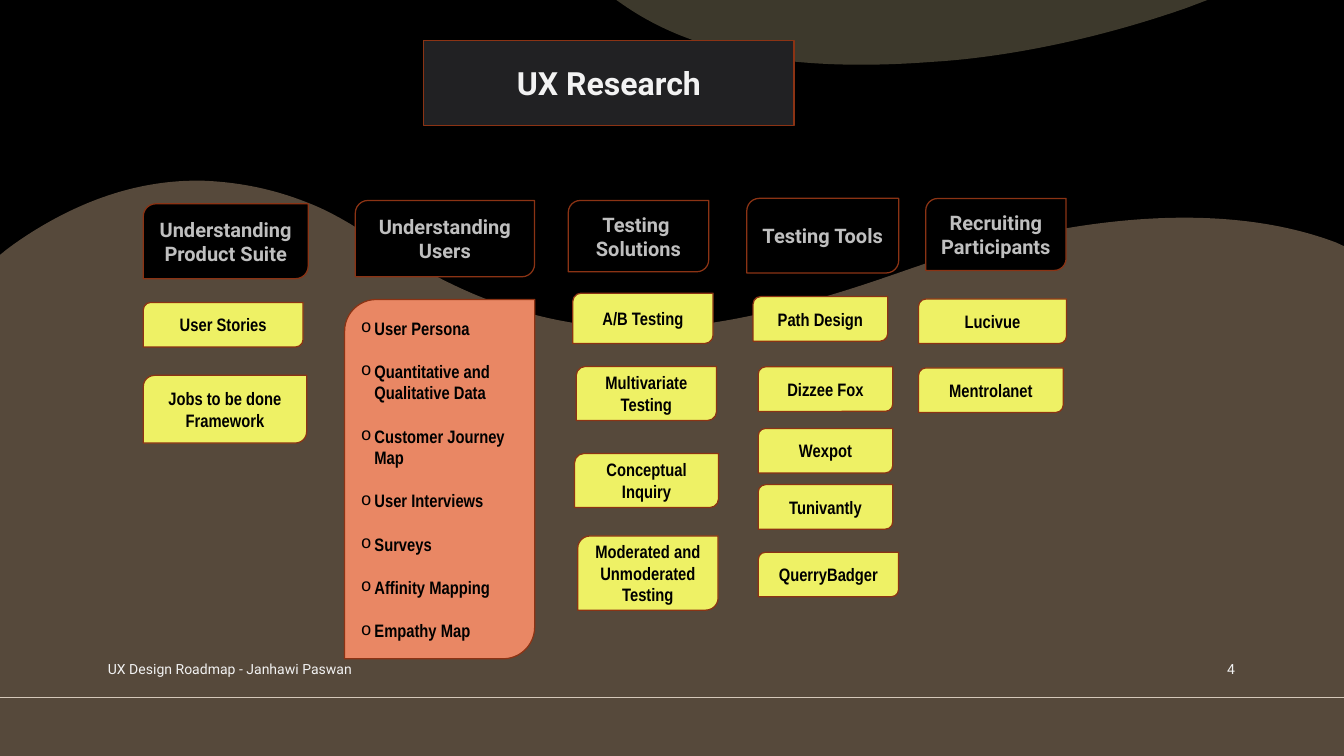
from lxml.etree import SubElement
from pptx import Presentation
from pptx.dml.color import RGBColor
from pptx.enum.shapes import MSO_CONNECTOR, MSO_SHAPE
from pptx.enum.text import MSO_ANCHOR, PP_ALIGN
from pptx.oxml.ns import qn
from pptx.util import Pt

WIDTH, HEIGHT = 1344, 756
BLACK = RGBColor(0x00, 0x00, 0x00)
WHITE = RGBColor(0xFF, 0xFF, 0xFF)
OFF_WHITE = RGBColor(0xF2, 0xF2, 0xF2)
SILVER = RGBColor(0xBF, 0xBF, 0xBF)
CHARCOAL = RGBColor(0x21, 0x21, 0x23)
RUST = RGBColor(0x8B, 0x33, 0x14)
YELLOW = RGBColor(0xEE, 0xF1, 0x65)
ORANGE = RGBColor(0xE9, 0x87, 0x64)
BROWN = RGBColor(0xAD, 0x92, 0x77)
SAND = RGBColor(0xE5, 0xD6, 0xA4)
HEADING_FONT, CARD_FONT = "Roboto", "Arial Narrow"
RULE_TOP = 697.3

# Content: text, then (left, top, width, height) in points
TITLE = ("UX Research", (423.8, 40.8, 370.3, 84.7))
FOOTER = ("UX Design Roadmap - Janhawi Paswan", (100.8, 648.7, 735.8, 40.3))
PAGE_NUMBER = ("4", (1159.2, 648.7, 82.8, 40.3))
HEADERS = [
    ("Understanding\nProduct Suite", (143.3, 203.8, 164.9, 74.9)),
    ("Understanding\nUsers", (355.3, 200.5, 179.3, 76.3)),
    ("Testing \nSolutions", (568.3, 200.5, 140.4, 71.3)),
    ("Testing Tools", (746.8, 198.4, 151.9, 74.6)),
    ("Recruiting\nParticipants", (925.7, 198.5, 140.4, 72)),
]
CARDS = [
    ("User Stories", (143.3, 302.4, 159.8, 44.6)),
    ("Jobs to be done\nFramework", (143.3, 375.4, 163.4, 67.7)),
    ("A/B Testing", (572.7, 293.2, 140.4, 50.4)),
    ("Multivariate Testing", (576.2, 366.5, 140.4, 54)),
    ("Conceptual\nInquiry", (574.6, 453.6, 144, 54)),
    ("Moderated and Unmoderated Testing", (577.7, 536, 140.4, 74.2)),
    ("Path Design", (753.1, 296.6, 134.6, 44.6)),
    ("Dizzee Fox", (758.2, 366.8, 134.6, 44.6)),
    ("Wexpot", (758.2, 428.4, 134.6, 44.6)),
    ("Tunivantly", (758.2, 484.6, 134.6, 44.6)),
    ("QuerryBadger", (758.2, 552.2, 140.4, 44.6)),
    ("Lucivue", (918.5, 299, 148, 44.6)),
    ("Mentrolanet", (918.5, 367.9, 144.7, 44.6)),
]
USER_METHODS = ([
    "User Persona",
    "Quantitative and Qualitative Data",
    "Customer Journey Map",
    "User Interviews",
    "Surveys",
    "Affinity Mapping",
    "Empathy Map",
], (344.6, 299.5, 190.1, 359.3))

# Outlines: a pair is a straight step, six numbers are a Bezier step
WAVE = [
    (203.8, 180.7),
    (238.3, 182.2, 272.2, 188.6, 306.7, 202.3),
    (337, 213.8, 362.9, 231.8, 388.8, 248.4),
    (446.4, 285.8, 509, 313.9, 581, 324),
    (642.2, 333.4, 703.4, 326.9, 765.4, 312.5),
    (833.8, 295.9, 873.4, 281.5, 915.1, 267.1),
    (955.4, 253.4, 1170.7, 180, 1336.3, 242.6),
    (WIDTH, 246.2), (WIDTH, HEIGHT), (0, HEIGHT), (0, 254.9), (7.2, 249.1),
    (15.8, 242.6, 25.2, 236.2, 34.6, 230.4),
    (90.7, 195.8, 146.9, 179.3, 203.8, 180.7),
]
TOP_ARC = [
    (616.3, 0), (1207.4, 0), (1186.6, 7.9),
    (1064.9, 50.4, 969.1, 59.8, 931.7, 61.9),
    (761.8, 74.9, 676.8, 41, 625.7, 6.5),
]


def add_blob(slide, outline, color, opacity):
    ends = [(Pt(step[-2]), Pt(step[-1])) for step in outline]
    builder = slide.shapes.build_freeform(*ends[0])
    builder.add_line_segments(ends[1:], close=True)
    blob = builder.convert_to_shape()
    blob.shadow.inherit = False
    blob.fill.solid()
    blob.fill.fore_color.rgb = color
    blob.line.fill.background()
    tint = next(blob._element.spPr.iter(qn("a:srgbClr")))
    SubElement(tint, qn("a:alpha"), val=str(opacity * 1000))

    # Bend the straight steps that carry control points
    segments = list(blob._element.iter(qn("a:lnTo")))
    for segment, step in zip(segments, outline[1:]):
        if len(step) == 6:
            segment.tag = qn("a:cubicBezTo")
            for position, (x, y) in enumerate((step[:2], step[2:4])):
                control = SubElement(segment, qn("a:pt"),
                                     x=str(Pt(x) - blob.left), y=str(Pt(y) - blob.top))
                segment.insert(position, control)


def set_text(shape, text, font, size, color, bold=True, align=PP_ALIGN.CENTER):
    frame = shape.text_frame
    frame.word_wrap = True
    frame.vertical_anchor = MSO_ANCHOR.MIDDLE
    frame.text = text
    for para in frame.paragraphs:
        para.alignment = align
        for span in para.runs:
            span.font.name = font
            span.font.size = Pt(size)
            span.font.bold = bold
            span.font.color.rgb = color


def add_box(slide, place, fill, kind=MSO_SHAPE.ROUND_2_DIAG_RECTANGLE):
    box = slide.shapes.add_shape(kind, *map(Pt, place))
    box.shadow.inherit = False
    box.fill.solid()
    box.fill.fore_color.rgb = fill
    box.line.color.rgb = RUST
    box.line.width = Pt(1.25)
    return box


def add_bullets(box, gap, indent):
    paras = box.text_frame.paragraphs
    for para in paras:
        if para is not paras[-1]:
            para.space_after = Pt(gap)
        properties = para._p.get_or_add_pPr()
        properties.set("marL", str(Pt(indent)))
        properties.set("indent", str(-Pt(indent)))
        SubElement(properties, qn("a:buFont"), typeface="Courier New")
        SubElement(properties, qn("a:buChar"), char="o")


def main():
    deck = Presentation()
    deck.slide_width, deck.slide_height = Pt(WIDTH), Pt(HEIGHT)
    page = deck.slides.add_slide(deck.slide_layouts[6])
    page.background.fill.solid()
    page.background.fill.fore_color.rgb = BLACK

    # Backdrop
    rule = page.shapes.add_connector(
        MSO_CONNECTOR.STRAIGHT, Pt(0), Pt(RULE_TOP), Pt(WIDTH), Pt(RULE_TOP))
    rule.line.color.rgb = WHITE
    rule.line.width = Pt(1.25)
    SubElement(rule._element.spPr, qn("a:effectLst"))
    add_blob(page, WAVE, BROWN, 50)
    add_blob(page, TOP_ARC, SAND, 27)

    # Footer
    for (text, place), align in ((FOOTER, PP_ALIGN.LEFT), (PAGE_NUMBER, PP_ALIGN.RIGHT)):
        note = page.shapes.add_textbox(*map(Pt, place))
        set_text(note, text, HEADING_FONT, 14, OFF_WHITE, False, align)

    # Title
    text, place = TITLE
    title = add_box(page, place, CHARCOAL, MSO_SHAPE.RECTANGLE)
    set_text(title, text, HEADING_FONT, 32, OFF_WHITE)

    # Column headers and cards
    for text, place in HEADERS:
        set_text(add_box(page, place, BLACK), text, HEADING_FONT, 20, SILVER)
    for text, place in CARDS:
        set_text(add_box(page, place, YELLOW), text, CARD_FONT, 18, BLACK)

    # User research methods
    methods, place = USER_METHODS
    panel = add_box(page, place, ORANGE)
    set_text(panel, "\n".join(methods), CARD_FONT, 18, BLACK, align=PP_ALIGN.LEFT)
    add_bullets(panel, gap=21.6, indent=13.5)

    deck.save("out.pptx")


if __name__ == "__main__":
    main()
